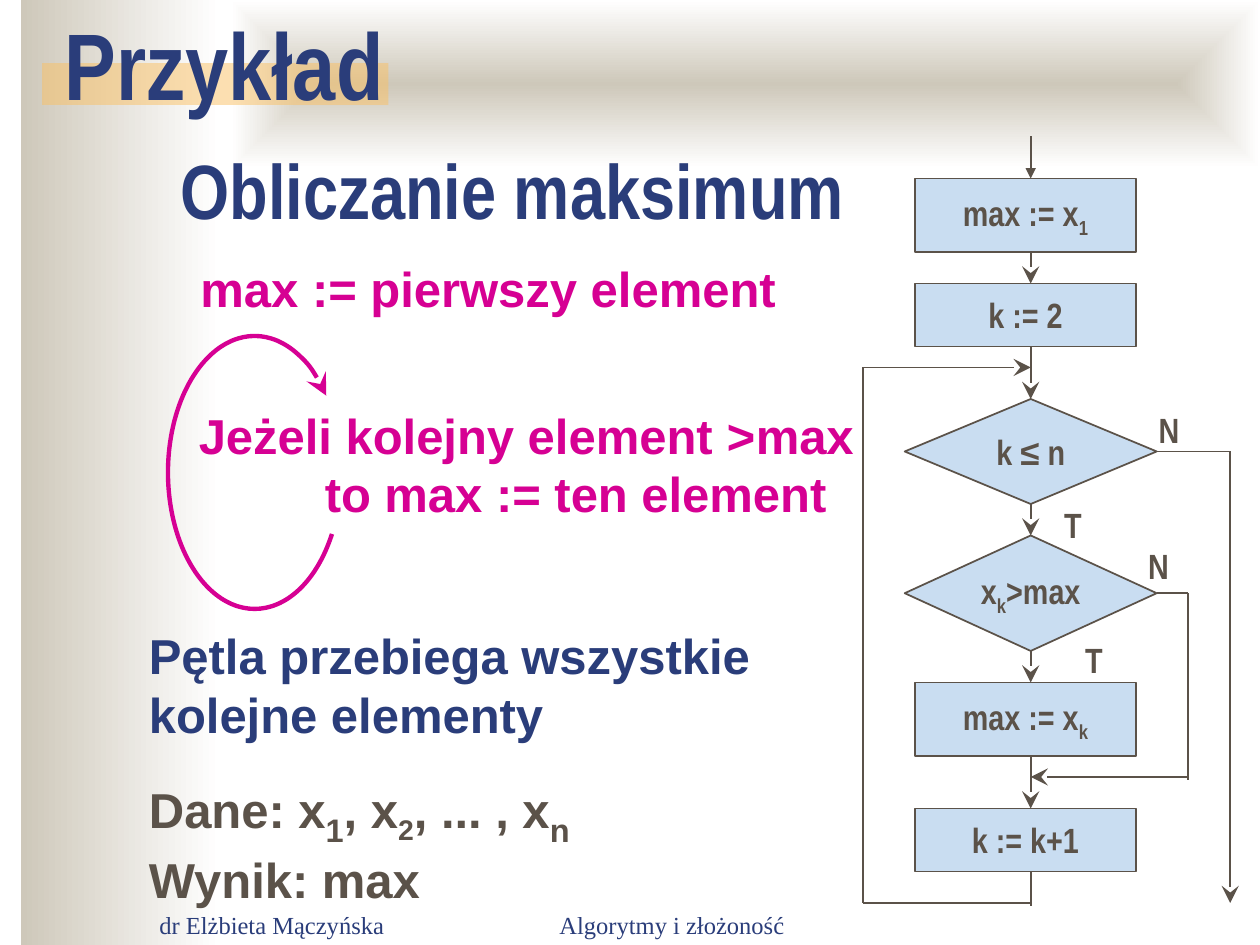
from lxml import etree
from pptx import Presentation
from pptx.dml.color import RGBColor
from pptx.enum import shapes, text
from pptx.oxml.ns import qn
from pptx.util import Pt

NAVY, PINK, BROWN = "2A3D7A", "D60093", "5B5249"
SAND, WHITE, AMBER, SKY = "CEC8BA", "FFFFFF", "FAC164", "C9DDF1"
NARROW = "Arial Narrow"
SHAPE, ANCHOR, ALIGN = shapes.MSO_SHAPE, text.MSO_ANCHOR, text.PP_ALIGN


def rgb(value):
    """Turn a hex string into a colour."""
    return RGBColor.from_string(value)


def sub(char, size=None):
    """Describe a subscript run."""
    return char, {"base": -25, "size": size}


def add_tab(p, position):
    """Add a left tab stop to a paragraph."""
    tabs = etree.SubElement(p._p.get_or_add_pPr(), qn("a:tabLst"))
    etree.SubElement(tabs, qn("a:tab"), pos=str(Pt(position)), algn="l")


def write(tf, paras, size, color, font="Arial", bold=True, align=ALIGN.LEFT,
          anchor=ANCHOR.TOP, wrap=True, tab=None):
    """Fill a text frame, each paragraph being a list of runs."""
    tf.word_wrap, tf.vertical_anchor = wrap, anchor
    tf.margin_left = tf.margin_right = Pt(7.2)
    tf.margin_top = tf.margin_bottom = Pt(3.6)
    for i, runs in enumerate(paras):
        p = tf.add_paragraph() if i else tf.paragraphs[0]
        p.alignment = align
        if tab:
            add_tab(p, tab)
        for run in runs:
            words, extra = (run, {}) if isinstance(run, str) else run
            r = p.add_run()
            r.text = words
            r.font.size = Pt(extra.get("size") or size)
            r.font.name = extra.get("font", font)
            r.font.bold = bold
            r.font.color.rgb = rgb(color)
            if "base" in extra:
                r.font._element.set("baseline", str(extra["base"] * 1000))


def add_text(s, box, paras, size, color, **style):
    """Add a text box."""
    tb = s.shapes.add_textbox(*map(Pt, box))
    write(tb.text_frame, paras, size, color, **style)


def add_shape(s, kind, box, fill=None, line=None, width=1):
    """Add a flat preset shape."""
    sp = s.shapes.add_shape(kind, *map(Pt, box))
    sp.shadow.inherit = False
    if fill:
        sp.fill.solid()
        sp.fill.fore_color.rgb = rgb(fill)
    else:
        sp.fill.background()
    if line:
        sp.line.color.rgb = rgb(line)
        sp.line.width = Pt(width)
    else:
        sp.line.fill.background()
    return sp


def add_head(sp, kind, size="lg"):
    """Put an arrowhead at the end of a line."""
    ln = sp.line._get_or_add_ln()
    etree.SubElement(ln, qn("a:tailEnd"), type=kind, w=size, len=size)


def add_line(s, x1, y1, x2, y2, head=None, size="lg"):
    """Add a thin straight line, with an arrowhead if one is named."""
    cx = s.shapes.add_connector(shapes.MSO_CONNECTOR.STRAIGHT,
                                Pt(x1), Pt(y1), Pt(x2), Pt(y2))
    cx.line.color.rgb = rgb(BROWN)
    cx.line.width = Pt(1)
    if head:
        add_head(cx, head, size)
    etree.SubElement(cx._element.spPr, qn("a:effectLst"))


def add_gradient(s, box, centred=False):
    """Add a sand to white rectangle, running rightwards or from its centre."""
    sp = add_shape(s, SHAPE.RECTANGLE, box)
    sp.fill.gradient()
    sp.fill.gradient_angle = 0
    for stop, color, position in zip(sp.fill.gradient_stops, (SAND, WHITE), (0, 1)):
        stop.color.rgb = rgb(color)
        stop.position = position
    if centred:
        lin = sp._element.spPr.find(".//" + qn("a:lin"))
        rect = etree.Element(qn("a:path"), path="rect")
        etree.SubElement(rect, qn("a:fillToRect"), l="50000", t="50000", r="50000", b="50000")
        lin.getparent().replace(lin, rect)


def backdrop(s, width, height):
    """Draw the side band, the top band, the title bar and the footers."""
    add_gradient(s, (12, 0, 114, height))
    add_gradient(s, (132, 0, width - 132, 96), centred=True)
    bar = add_shape(s, SHAPE.RECTANGLE, (24, 36, 198, 24), AMBER)
    color = bar._element.spPr.find(".//" + qn("a:srgbClr"))
    etree.SubElement(color, qn("a:alpha"), val="50000")
    footer = dict(font="Times New Roman", bold=False, anchor=ANCHOR.BOTTOM)
    add_text(s, (84, 504.5, 150, 36), [["dr Elżbieta Mączyńska"]], 14, NAVY, **footer)
    add_text(s, (270, 504.5, 228, 36), [["Algorytmy i złożoność"]], 14, NAVY,
             align=ALIGN.CENTER, **footer)


def headings(s):
    """Place the title in front of the backdrop and the section name above it."""
    title = s.shapes.title
    s.shapes._spTree.append(title._element)
    title.left, title.top, title.width, title.height = map(Pt, (96, 48, 618, 90))
    style = dict(font=NARROW, anchor=ANCHOR.BOTTOM)
    write(title.text_frame, [["Obliczanie maksimum"]], 44, NAVY, **style)
    add_text(s, (30, 18, 216, 54), [["Przykład"]], 54, NAVY, **style)


def description(s, left, top):
    """Write the algorithm in words, with its loop arrow."""
    add_text(s, (left + 29.5, top, 343, 41), [["max := pierwszy element"]],
             28, PINK, wrap=False)
    add_text(s, (left + 28.5, top + 84, 389, 75),
             [["Jeżeli kolejny element ", (">", {"font": "Courier New"}), "max"],
              ["\tto max := ten element"]], 28, PINK, wrap=False, tab=72)
    loop = add_shape(s, SHAPE.ARC, (left + 18, top + 48, 99, 156), line=PINK, width=2.5)
    for i, degrees in enumerate((38.5, 313)):
        loop.adjustments[i] = degrees * 0.6
    add_head(loop, "stealth")
    add_text(s, (left, top + 210, 360, 75),
             [["Pętla przebiega wszystkie kolejne elementy"]], 28, NAVY)
    add_text(s, (left, top + 294, 348, 85),
             [["Dane: x", sub("1", 32), ", x", sub("2"), ", ... , x", sub("n", 32)],
              ["Wynik: max"]], 28, BROWN)


def flowchart(s, left, top):
    """Draw the flowchart from its top left corner."""
    axis, inner, outer = 96, 186, 210
    box, diamond = (SHAPE.RECTANGLE, 30, 126), (SHAPE.FLOWCHART_DECISION, 24, 144)
    steps = [
        (box, 24, 42, ["max := x", sub("1")]),
        (box, 84, 36, ["k := 2"]),
        (diamond, 150, 60, ["k ", ("≤", {"font": "Arial"}), " n"]),
        (diamond, 228, 66, ["x", sub("k"), ">max"]),
        (box, 312, 42, ["max := x", sub("k")]),
        (box, 384, 36, ["k := k+1"]),
    ]
    for (kind, x, width), y, height, runs in steps:
        sp = add_shape(s, kind, (left + x, top + y, width, height), SKY, BROWN)
        write(sp.text_frame, [runs], 20, BROWN, font=NARROW, align=ALIGN.CENTER,
              anchor=ANCHOR.MIDDLE, wrap=False)

    add_line(s, left + axis, top, left + axis, top + 24, "triangle", "med")
    for (_, y, height, _), (_, below, _, _) in zip(steps, steps[1:]):
        add_line(s, left + axis, top + y + height, left + axis, top + below, "stealth")
    links = [
        (axis, 420, axis, 440, None),
        (axis, 438, 0, 438, None),
        (0, 438, 0, 132, None),
        (0, 132, axis, 132, "stealth"),
        (168, 180, outer, 180, None),
        (outer, 180, outer, 438, "stealth"),
        (168, 261, inner, 261, None),
        (inner, 261, inner, 368, None),
        (inner, 366, axis, 366, "stealth"),
    ]
    for x1, y1, x2, y2, head in links:
        add_line(s, left + x1, top + y1, left + x2, top + y2, head)

    for label, x, y in (("N", 162, 152), ("T", 108, 206), ("N", 156, 229.5), ("T", 120, 283.5)):
        add_text(s, (left + x, top + y, 25, 32), [[label]], 20, BROWN,
                 font=NARROW, wrap=False)


def main():
    """Build and save the slide."""
    prs = Presentation()
    prs.slide_width, prs.slide_height = Pt(720), Pt(540)
    s = prs.slides.add_slide(prs.slide_layouts[5])
    backdrop(s, 720, 540)
    headings(s)
    description(s, 78, 144)
    flowchart(s, 493, 78)
    prs.save("out.pptx")


if __name__ == "__main__":
    main()
